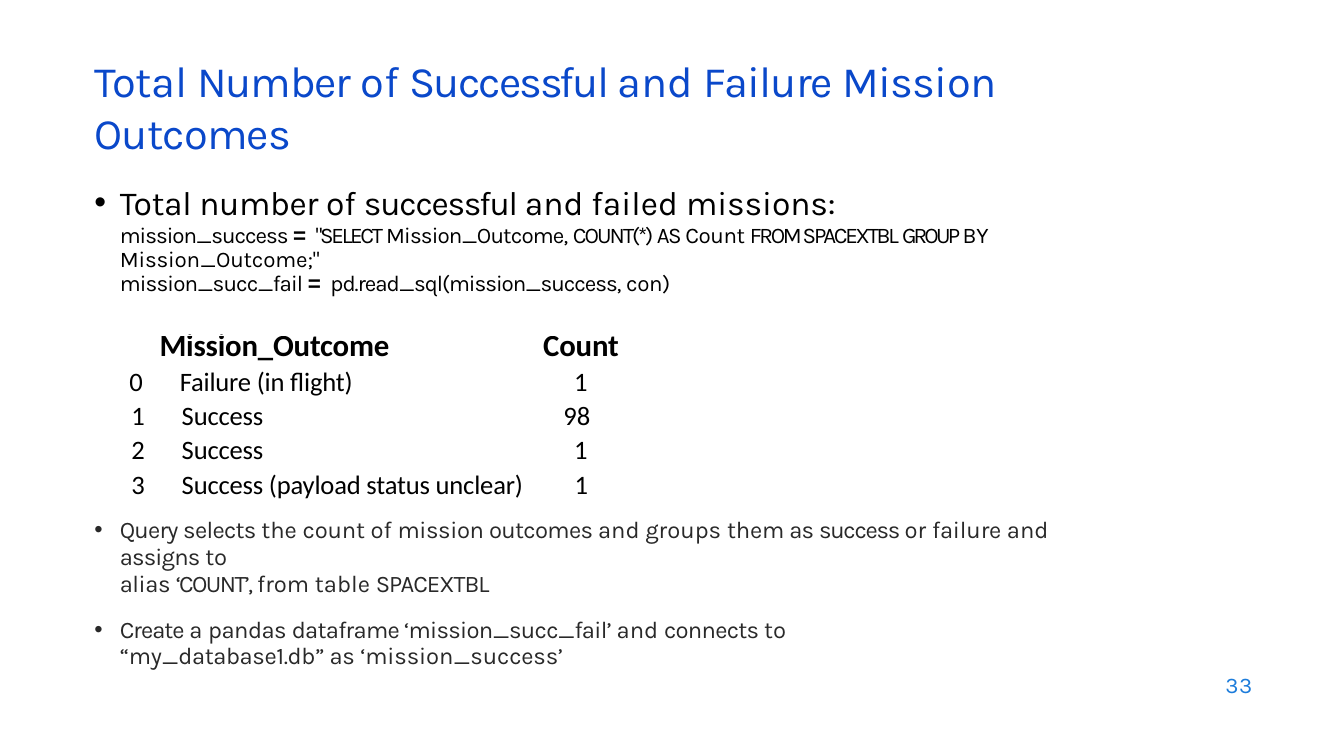
from lxml import etree
from pptx import Presentation
from pptx.dml.color import RGBColor
from pptx.enum.text import MSO_AUTO_SIZE, PP_ALIGN
from pptx.oxml.ns import qn
from pptx.util import Cm, Pt

GROW = MSO_AUTO_SIZE.SHAPE_TO_FIT_TEXT
LEFT, CENTER = PP_ALIGN.LEFT, PP_ALIGN.CENTER
COLORS = {"title": "0A48CA", "black": "000000", "body": "292929", "page": "1C7CDB"}

prs = Presentation()
prs.slide_width, prs.slide_height = Cm(33.87), Cm(19.05)
s = prs.slides.add_slide(prs.slide_layouts[6])


def add_box(left, top, width, height, inset=0):
    tf = s.shapes.add_textbox(Cm(left), Cm(top), Cm(width), Cm(height)).text_frame
    tf.margin_left = tf.margin_right = tf.margin_bottom = 0
    tf.margin_top = Cm(inset)
    tf.word_wrap, tf.auto_size = True, GROW
    return tf


def fill_paragraph(p, runs, size, color, font="Karla", bold=False, line=None,
                   before=0, left=0, right=0, tab=None, bullet=False):
    """Runs are (text, letter spacing in points); a lone "= " is bold Arial."""
    pPr = p._p.get_or_add_pPr()
    pPr.set("marL", str(Cm(left)))
    pPr.set("marR", str(Cm(right)))
    pPr.set("indent", str(Cm(-0.64 if bullet else 0)))
    if bullet:
        etree.SubElement(pPr, qn("a:buFont"), typeface="Arial")
        etree.SubElement(pPr, qn("a:buChar"), char="•")
    else:
        etree.SubElement(pPr, qn("a:buNone"))
    if tab:
        tabs = etree.SubElement(pPr, qn("a:tabLst"))
        etree.SubElement(tabs, qn("a:tab"), pos=str(Cm(tab)), algn="l")
    if line:
        p.line_spacing = Pt(line)
    p.space_before = Pt(before)
    for text, spacing in runs:
        r = p.add_run()
        r.text = text
        equals = text == "= "
        r.font.name = "Arial" if equals else font
        r.font.size, r.font.bold = Pt(size), bold or equals
        r.font.color.rgb = RGBColor.from_string(COLORS[color])
        r.font._element.set("spc", str(round(spacing * 100)))


# Title
tf = add_box(2.36, 1.17, 27.89, 1.65, inset=0.2)
fill_paragraph(tf.paragraphs[0], [
    ("Total ", -0.3), ("Number ", -0.8), ("of ", 0), ("Successful ", -1.4),
    ("and ", 0), ("Failure ", -0.6), ("Mission ", -0.5), ("Outcomes", -0.6),
], 31, "title", left=0.03)

# Query
tf = add_box(2.36, 4.57, 24.08, 2.92, inset=0.03)
fill_paragraph(tf.paragraphs[0], [
    ("Total ", -0.2), ("number ", -0.3), ("of ", 0), ("successful ", -0.9),
    ("and failed ", 0), ("missions:", -0.1),
], 24, "black", line=28.1, left=0.66, tab=0.66, bullet=True)
fill_paragraph(tf.add_paragraph(), [
    ("mission_success ", -0.7), ("= ", 1.2), ('"SELECT ', -1.6),
    ("Mission_Outcome, ", -0.6), ("COUNT(*) ", -1.4), ("AS ", -1.1),
    ("Count ", -0.3), ("FROM SPACEXTBL ", -1.6), ("GROUP ", -2), ("BY ", -0.2),
    ('Mission_Outcome;"', -0.1),
], 16, "black", line=17.3, before=1.4, left=0.66)
fill_paragraph(tf.add_paragraph(), [
    ("mission_succ_fail ", -0.6), ("= ", 1.2),
    ("pd.read_sql(mission_success, ", -0.7), ("con)", -0.2),
], 16, "black", line=17, left=0.66)

# Result table: cell text, left indent, alignment
rows = [
    [("Mission_Outcome", 0.84, LEFT), ("Count", 0.2, LEFT)],
    [("0\tFailure (in flight)", 0.08, LEFT), ("1", 0.05, CENTER)],
    [("1\tSuccess", 0.13, LEFT), ("98", 0.71, LEFT)],
    [("2\tSuccess", 0.13, LEFT), ("1", 0.05, CENTER)],
    [("3\tSuccess (payload status unclear)", 0.13, LEFT), ("1", 0.08, CENTER)],
]
table = s.shapes.add_table(len(rows), 2, Cm(3.18), Cm(8.46), Cm(12.55), Cm(4.2)).table
table.first_row = table.horz_banding = False
table.columns[0].width, table.columns[1].width = Cm(10.31), Cm(2.24)
for i, row in enumerate(rows):
    header = i == 0
    table.rows[i].height = Cm(0.76 if i == len(rows) - 1 else 0.86)
    for j, (text, left, align) in enumerate(row):
        cell = table.cell(i, j)
        cell.fill.background()
        cell.margin_left = cell.margin_right = cell.margin_top = cell.margin_bottom = 0
        p = cell.text_frame.paragraphs[0]
        p.alignment = align
        fill_paragraph(p, [(text, -0.1)], 22 if header else 19, "black", "Calibri",
                       bold=header, line=20.9 if header else 20.6, left=left,
                       tab=1.34 if "\t" in text else None)

# Explanation
tf = add_box(2.36, 12.98, 26.01, 3.23, inset=0.03)
fill_paragraph(tf.paragraphs[0], [
    ("Query ", -0.6), ("selects ", -0.5), ("the ", 0), ("count ", -0.1), ("of ", 0),
    ("mission ", -0.3), ("outcomes ", -0.5), ("and groups ", 0), ("them", -0.1),
    (" as ", -0.6), ("success ", -0.9), ("or ", 0), ("failure ", -0.1), ("and ", 0),
    ("assigns ", -0.6), ("to", -0.2),
], 17, "body", line=19.4, left=0.66, tab=0.66, bullet=True)
fill_paragraph(tf.add_paragraph(), [
    ("alias ", -0.3), ("‘COUNT’, ", -1.2), ("from table ", 0), ("SPACEXTBL", -0.7),
], 17, "body", line=19.4, left=0.66)
fill_paragraph(tf.add_paragraph(), [
    ("Create ", -0.7), ("a ", 0), ("pandas ", -0.4),
    ("dataframe ‘mission_succ_fail’ ", -0.5), ("and ", 0), ("connects ", -0.5),
    ("to ", 0), ("“my_database1.db” ", -0.3), ("as ", -0.2),
    ("‘mission_success’", -0.1),
], 17, "body", line=18.4, before=14.3, left=0.66, right=5.6, tab=0.66, bullet=True)

# Page number
tf = add_box(30.78, 16.94, 0.94, 0.71)
fill_paragraph(tf.paragraphs[0], [("33", 0.5)], 16, "page", line=18.4, left=0.1)

prs.save("out.pptx")
